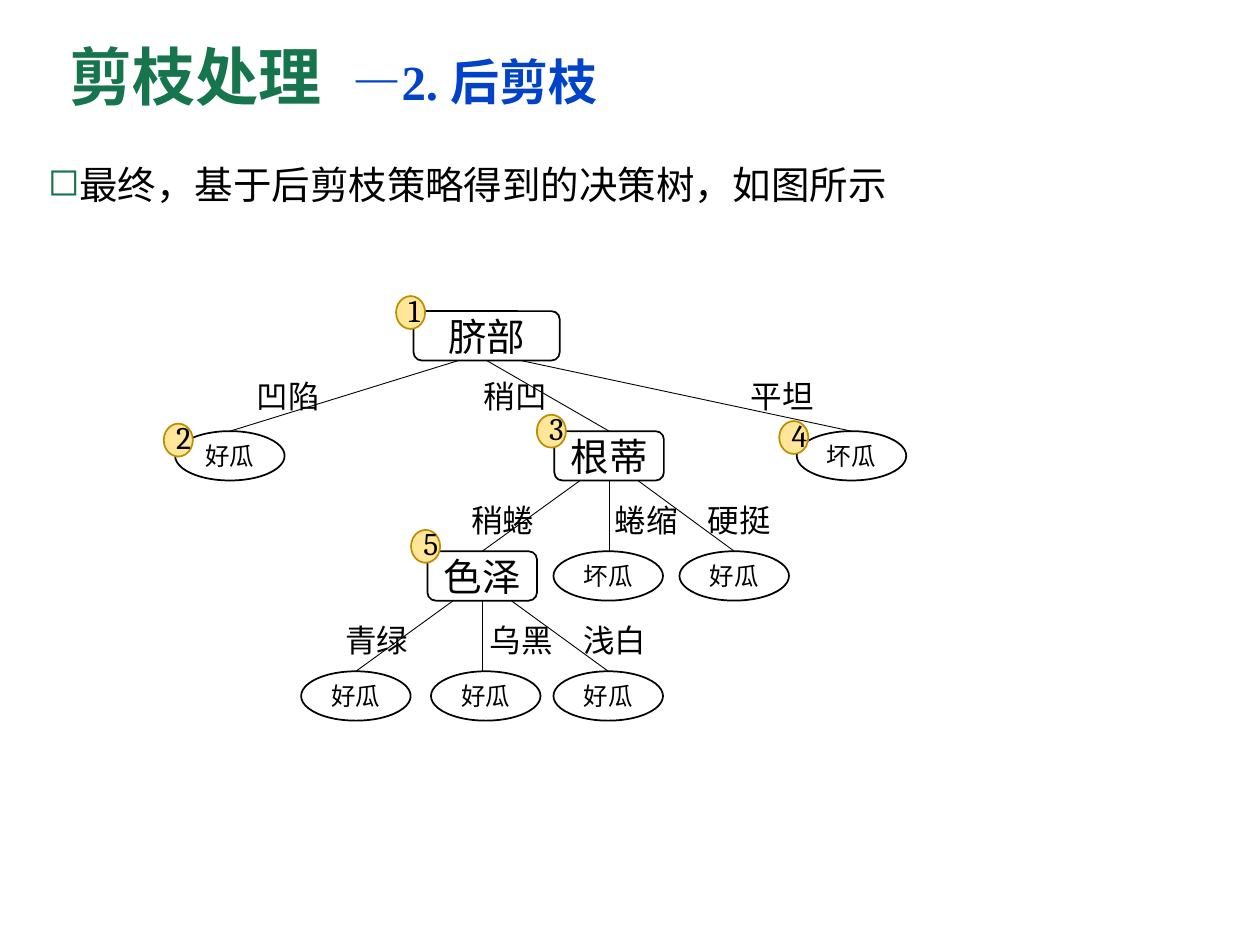
from collections import namedtuple

from lxml import etree
from pptx import Presentation
from pptx.dml.color import RGBColor
from pptx.enum.shapes import MSO_CONNECTOR as CONNECTOR, MSO_SHAPE as SHAPE
from pptx.enum.text import MSO_ANCHOR as ANCHOR, PP_ALIGN as ALIGN
from pptx.oxml.ns import qn
from pptx.util import Pt

COLORS = {
    "text": "000000",
    "title": "16754D",
    "subtitle": "0042C8",
    "node": "FFFFFF",
    "badge": "FFE699",
    "badge_line": "BD8E00",
}
SERIF, NODE_FONT, CJK = "Times New Roman", "Cambria", "Noto Sans CJK SC"

Box = namedtuple("Box", "left top width height")
Node = namedtuple("Node", "text center row badge", defaults=[None])
Edge = namedtuple("Edge", "parent child text text_left start_shift", defaults=[0])

ROW_TOP, ROW_PITCH = 8.8, 68.6
NODE_WIDTH, ROOT_WIDTH, NODE_HEIGHT = 62.6, 83.5, 28.2

# Centres are measured from the left of the tree; a badge is (number, dx, dy)
# from the top left corner of its node.
DECISIONS = {
    "navel": Node("脐部", 184.5, 0, ("1", -10, -8.6)),
    "stem": Node("根蒂", 254.5, 1, ("3", -10, -9.4)),
    "color": Node("色泽", 182, 2, ("5", -9.4, -12.2)),
}
LEAVES = {
    "sunken": Node("好瓜", 37.8, 1, ("2", -6.5, -4.3)),
    "flat": Node("坏瓜", 393, 1, ("4", -10, -5.8)),
    "curled": Node("坏瓜", 254, 2),
    "stiff": Node("好瓜", 326, 2),
    "green": Node("好瓜", 109.8, 3),
    "black": Node("好瓜", 184, 3),
    "white": Node("好瓜", 254, 3),
}
NODES = {**DECISIONS, **LEAVES}
EDGES = [
    Edge("navel", "sunken", "凹陷", 46, -16),
    Edge("navel", "stem", "稍凹", 175.7),
    Edge("navel", "flat", "平坦", 328.3, 19.5),
    Edge("stem", "color", "稍蜷", 168.5),
    Edge("stem", "curled", "蜷缩", 250.6),
    Edge("stem", "stiff", "硬挺", 303.8),
    Edge("color", "green", "青绿", 96.5),
    Edge("color", "black", "乌黑", 179.3),
    Edge("color", "white", "浅白", 232.6),
]


def rgb(name):
    return RGBColor.from_string(COLORS[name])


def set_font(font, size, name, color="text", bold=None):
    font.size, font.name, font.bold = Pt(size), name, bold
    font.color.rgb = rgb(color)


def add_text_box(slide, box, wrap=True):
    frame = slide.shapes.add_textbox(*map(Pt, box)).text_frame
    frame.word_wrap = wrap
    return frame


def add_filled_shape(slide, kind, box, text, size, font, fill="node", line="text"):
    shape = slide.shapes.add_shape(kind, *map(Pt, box))
    shape.shadow.inherit = False
    shape.fill.solid()
    shape.fill.fore_color.rgb = rgb(fill)
    shape.line.color.rgb = rgb(line)
    shape.line.width = Pt(1)
    frame = shape.text_frame
    frame.vertical_anchor = ANCHOR.MIDDLE
    paragraph = frame.paragraphs[0]
    paragraph.text = text
    paragraph.alignment = ALIGN.CENTER
    set_font(paragraph.font, size, font)
    return shape


def add_title(slide, box):
    frame = add_text_box(slide, box)
    frame.vertical_anchor = ANCHOR.MIDDLE
    paragraph = frame.paragraphs[0]
    paragraph.line_spacing = 0.9
    tabs = etree.SubElement(paragraph._p.get_or_add_pPr(), qn("a:tabLst"))
    etree.SubElement(tabs, qn("a:tab"), pos=str(Pt(162)), algn="l")
    for text, size, color in [("剪枝处理\t", 36, "title"),
                              ("—2. 后剪枝", 28, "subtitle")]:
        run = paragraph.add_run()
        run.text = text
        set_font(run.font, size, SERIF, color, True)


def add_statement(slide, box):
    paragraph = add_text_box(slide, box).paragraphs[0]
    paragraph.text = "最终，基于后剪枝策略得到的决策树，如图所示"
    paragraph.line_spacing = 0.9
    properties = paragraph._p.get_or_add_pPr()
    properties.set("marL", str(Pt(18)))
    properties.set("indent", str(-Pt(18)))
    bullet_color = etree.SubElement(properties, qn("a:buClr"))
    etree.SubElement(bullet_color, qn("a:srgbClr"), val=COLORS["title"])
    etree.SubElement(properties, qn("a:buChar"), char="◻")
    set_font(paragraph.font, 22, SERIF)


def node_box(tree, key):
    node = NODES[key]
    width = NODE_WIDTH if node.row else ROOT_WIDTH
    return Box(tree.left + node.center - width / 2,
               tree.top + ROW_TOP + node.row * ROW_PITCH, width, NODE_HEIGHT)


def add_edge(slide, tree, edge):
    """Join two nodes; below the root, lines fan out from inside the parent."""
    parent, child = NODES[edge.parent], NODES[edge.child]
    rise = 12 if parent.row else 0
    start = parent.center + edge.start_shift
    end = child.center if abs(child.center - start) > 3 else start
    line = slide.shapes.add_connector(
        CONNECTOR.STRAIGHT,
        Pt(tree.left + start),
        Pt(node_box(tree, edge.parent).top + NODE_HEIGHT - rise),
        Pt(tree.left + end),
        Pt(node_box(tree, edge.child).top))
    line.line.color.rgb = rgb("text")
    line.line.width = Pt(0.5)
    etree.SubElement(line._element.spPr, qn("a:effectLst"))


def add_edge_label(slide, tree, edge):
    drop = 36.4 if NODES[edge.parent].row else 34
    box = Box(tree.left + edge.text_left,
              node_box(tree, edge.parent).top + drop, 51, 29)
    paragraph = add_text_box(slide, box, wrap=False).paragraphs[0]
    paragraph.text = edge.text
    set_font(paragraph.font, 18, CJK)


def add_badge(slide, corner, number, dx, dy):
    box = Box(corner.left + dx, corner.top + dy, 16.6, 18.8)
    badge = add_filled_shape(slide, SHAPE.OVAL, box, number, 18, NODE_FONT,
                             "badge", "badge_line")
    badge.text_frame.margin_top = 0


def add_tree(slide, tree):
    for edge in EDGES:
        add_edge(slide, tree, edge)
    for key, node in NODES.items():
        box = node_box(tree, key)
        if key in DECISIONS:
            add_filled_shape(slide, SHAPE.ROUNDED_RECTANGLE, box, node.text, 22, NODE_FONT)
        else:
            add_filled_shape(slide, SHAPE.OVAL, box, node.text, 14, SERIF)
        if node.badge:
            add_badge(slide, box, *node.badge)
    for edge in EDGES:
        add_edge_label(slide, tree, edge)


def main():
    deck = Presentation()
    deck.slide_width, deck.slide_height = Pt(720), Pt(540)
    slide = deck.slides.add_slide(deck.slide_layouts[6])
    add_title(slide, Box(32.4, 15.1, 620.6, 61.2))
    add_statement(slide, Box(20.2, 91.4, 678.2, 54))
    add_tree(slide, Box(93.6, 169, 424, 243))
    deck.save("out.pptx")


if __name__ == "__main__":
    main()
